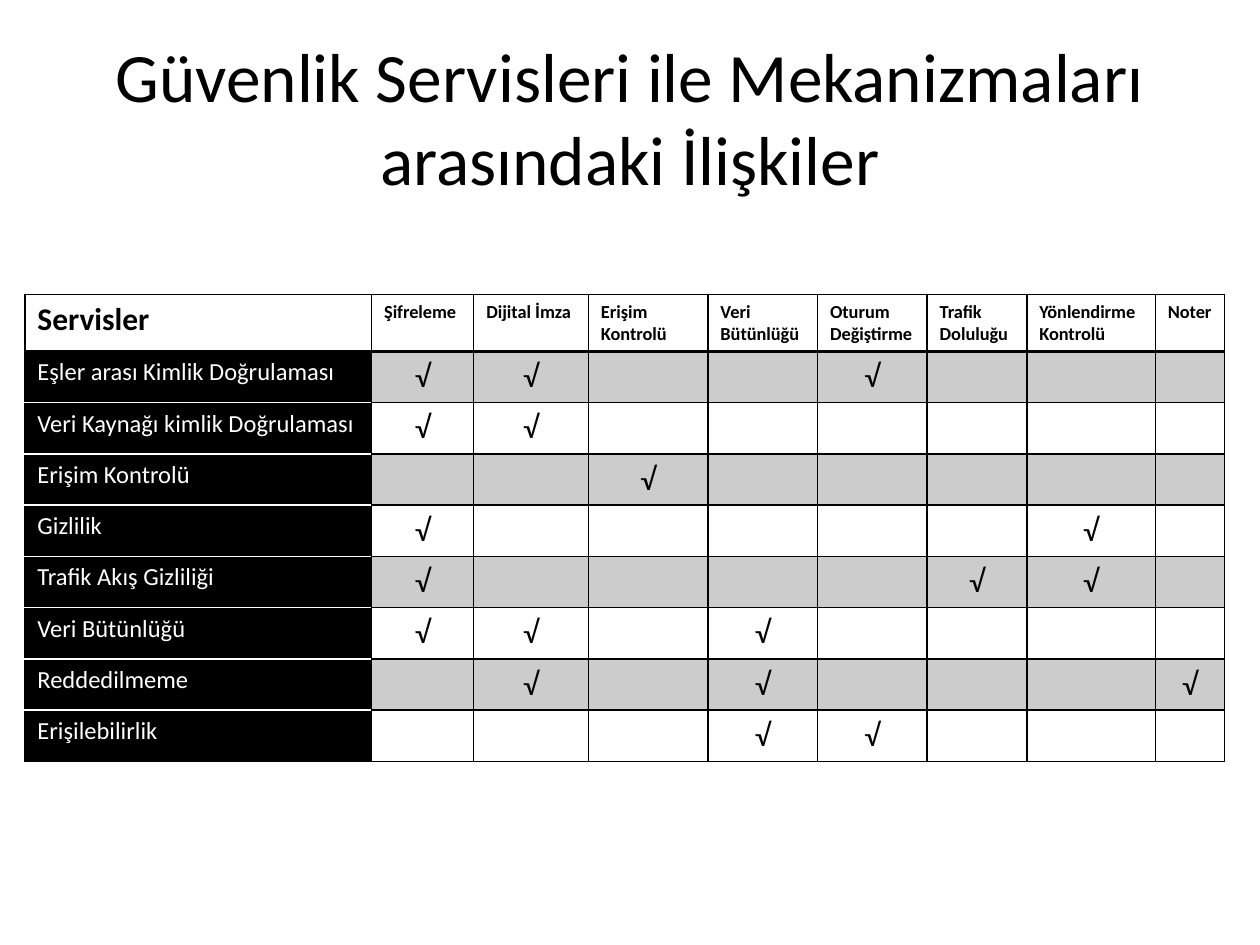
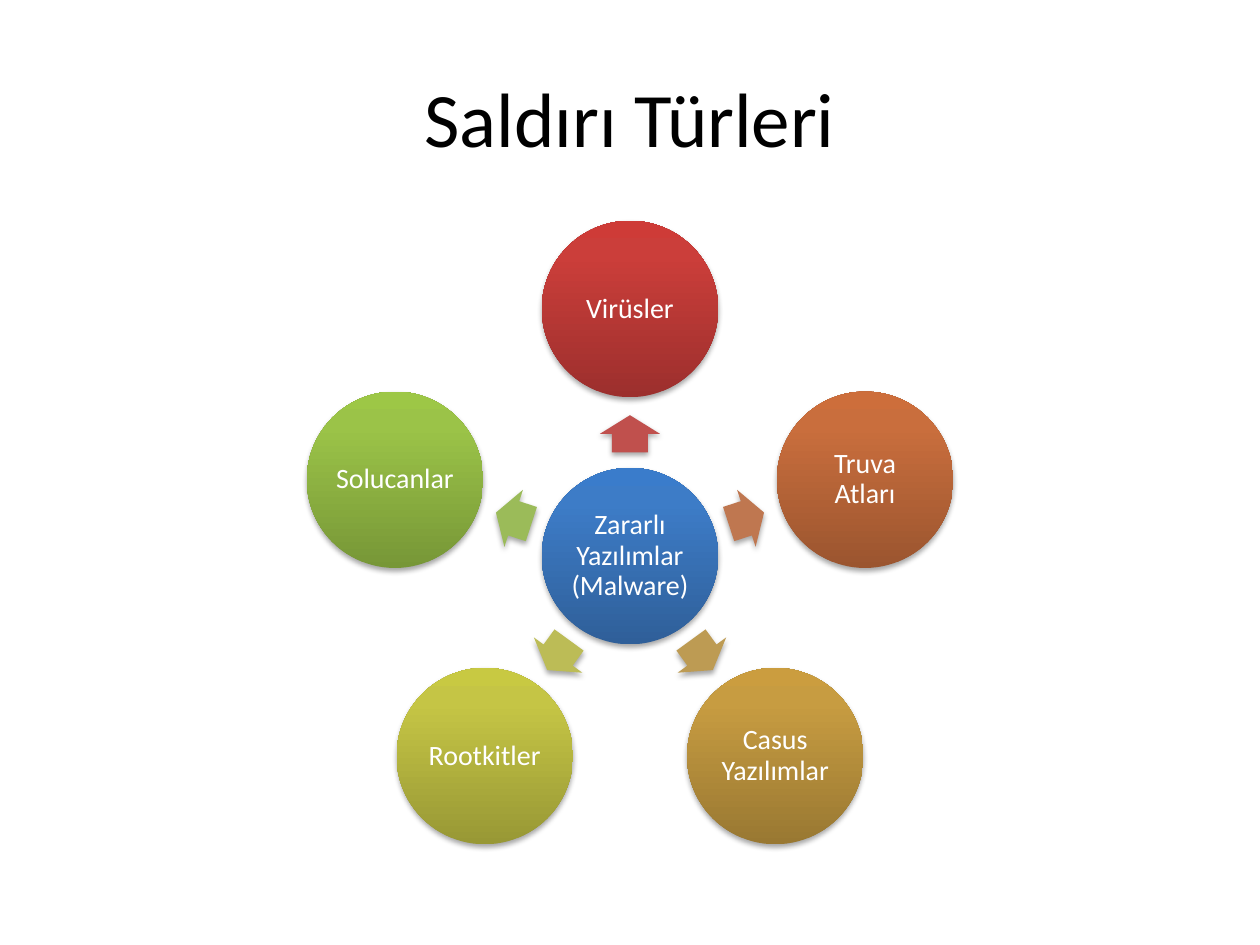
import math

from lxml import etree
from pptx import Presentation
from pptx.dml.color import RGBColor
from pptx.enum.shapes import MSO_SHAPE
from pptx.enum.text import MSO_ANCHOR, PP_ALIGN
from pptx.oxml.ns import qn
from pptx.util import Cm, Pt

OVAL, ARROW = MSO_SHAPE.OVAL, MSO_SHAPE.RIGHT_ARROW
LEFT, CENTER = PP_ALIGN.LEFT, PP_ALIGN.CENTER
TOP, MIDDLE = MSO_ANCHOR.TOP, MSO_ANCHOR.MIDDLE

FONT = "Calibri"
BLACK, WHITE, BAND = "000000", "FFFFFF", "CCCCCC"
TITLE_BOX = (1.27, 0.76, 22.86, 3.18)

MECHANISMS = ["Şifreleme", "Dijital İmza", "Erişim Kontrolü", "Veri Bütünlüğü",
              "Oturum Değiştirme", "Trafik Doluluğu", "Yönlendirme Kontrolü", "Noter"]
COLUMN_WIDTHS = [6.99, 2.06, 2.31, 2.41, 2.21, 2.21, 2.01, 2.59, 1.4]
# Each service with the numbers of the mechanism columns that support it
SERVICES = [
    ("Eşler arası Kimlik Doğrulaması", (1, 2, 5)),
    ("Veri Kaynağı kimlik Doğrulaması", (1, 2)),
    ("Erişim Kontrolü", (3,)),
    ("Gizlilik", (1, 7)),
    ("Trafik Akış Gizliliği", (1, 6, 7)),
    ("Veri Bütünlüğü", (1, 2, 4)),
    ("Reddedilmeme", (2, 4, 8)),
    ("Erişilebilirlik", (4, 5)),
]

MALWARE_SHADES = ("2F5F99", "3D7CC7", "3A7CCB")
# Attack, circle shades from bottom to top, arrow colour; clockwise from the top
ATTACKS = [
    ("Virüsler", ("9C2F2D", "CB3E3A", "CE3B37"), "C0504D"),
    ("Truva Atları", ("9B552F", "C96E3D", "CD6E3B"), "BF7750"),
    ("Casus Yazılımlar", ("997832", "C79C41", "CB9D3F"), "BD9B53"),
    ("Rootkitler", ("989835", "C5C545", "C8C942"), "BCBC56"),
    ("Solucanlar", ("779737", "9BC348", "9DC746"), "9BBB59"),
]


def rgb(color):
    return RGBColor.from_string(color)


def write(tf, text, size, color=BLACK, bold=False, align=LEFT, spacing=None):
    tf.word_wrap = True
    p = tf.paragraphs[0]
    p.alignment = align
    if spacing:
        p.line_spacing = spacing
    r = p.add_run()
    r.text = text
    r.font.name, r.font.size, r.font.bold = FONT, Pt(size), bold
    r.font.color.rgb = rgb(color)


def add_xml(parent, tag, **attrs):
    return etree.SubElement(parent, qn(tag), {k: str(v) for k, v in attrs.items()})


def add_title(s, text, size):
    tf = s.shapes.add_textbox(*map(Cm, TITLE_BOX)).text_frame
    tf.vertical_anchor = MIDDLE
    write(tf, text, size, align=CENTER)


def set_borders(cell, **sides):
    """Draw borders given as L, R, T, B = (colour, points)."""
    tc_pr = cell._tc.get_or_add_tcPr()
    for side, (color, points) in sides.items():
        ln = add_xml(tc_pr, f"a:ln{side}", w=Pt(points))
        add_xml(add_xml(ln, "a:solidFill"), "a:srgbClr", val=color)


def row_rule(row, col):
    """Colour and weight of the rule above a row."""
    if row == 1:
        return BLACK, 2
    return (WHITE if col == 0 and 1 < row <= len(SERVICES) else BLACK), 1


def add_services_table(s, left, top, width, height):
    rows = len(SERVICES) + 1
    table = s.shapes.add_table(rows, len(COLUMN_WIDTHS), Cm(left), Cm(top),
                               Cm(width), Cm(height)).table
    table.first_row = table.horz_banding = False
    for column, share in zip(table.columns, COLUMN_WIDTHS):
        column.width = Cm(width * share / sum(COLUMN_WIDTHS))
    for row in range(rows):
        table.rows[row].height = Cm(height / rows)
        for col in range(len(COLUMN_WIDTHS)):
            cell = table.cell(row, col)
            cell.vertical_anchor = TOP
            side = (BLACK, 1)
            set_borders(cell, L=side, R=side, T=row_rule(row, col), B=row_rule(row + 1, col))
            fill, tf = WHITE, cell.text_frame
            if row == 0:
                text, size = (MECHANISMS[col - 1], 10.5) if col else ("Servisler", 18)
                write(tf, text, size, bold=True)
            elif col == 0:
                fill = BLACK
                write(tf, SERVICES[row - 1][0], 14, WHITE)
            else:
                fill = BAND if row % 2 else WHITE
                if col in SERVICES[row - 1][1]:
                    write(tf, "√", 18, align=CENTER)
            cell.fill.solid()
            cell.fill.fore_color.rgb = rgb(fill)


def add_shadowed(shapes, kind, x, y, width, height):
    """Add a borderless shape centred on x, y with a soft shadow below."""
    sp = shapes.add_shape(kind, Cm(x - width / 2), Cm(y - height / 2), Cm(width), Cm(height))
    sp.line.fill.background()
    sp.shadow.inherit = False
    effects = sp._element.spPr.find(qn("a:effectLst"))
    shadow = add_xml(effects, "a:outerShdw", blurRad=Pt(3.1), dist=Pt(1.8),
                     dir=5400000, rotWithShape=0)
    add_xml(add_xml(shadow, "a:srgbClr", val=BLACK), "a:alpha", val=35000)
    return sp


def add_circle(shapes, x, y, size, text, shades):
    sp = add_shadowed(shapes, OVAL, x, y, size, size)
    sp.fill.gradient()
    sp.fill.gradient_angle = 90
    stops = sp._element.spPr.find(qn("a:gradFill")).find(qn("a:gsLst"))
    stops.clear()
    for position, shade in zip((0, 80000, 100000), shades):
        add_xml(add_xml(stops, "a:gs", pos=position), "a:srgbClr", val=shade)
    tf = sp.text_frame
    tf.margin_left = tf.margin_right = tf.margin_top = tf.margin_bottom = Cm(0.05)
    tf.vertical_anchor = MIDDLE
    write(tf, text, 16, WHITE, align=CENTER, spacing=0.9)


def add_attack_wheel(s, left, top, width, height):
    shapes = s.shapes.add_group_shape().shapes
    size = 0.283 * height
    step = 360 / len(ATTACKS)
    orbit = (height - size) / (1 + math.cos(math.radians(step / 2)))
    arrow_orbit = 0.495 * orbit
    x, y = left + width / 2, top + size / 2 + orbit
    add_circle(shapes, x, y, size, "Zararlı Yazılımlar (Malware)", MALWARE_SHADES)
    for i, (attack, shades, arrow_color) in enumerate(ATTACKS):
        angle = math.radians(i * step)
        dx, dy = math.sin(angle), -math.cos(angle)
        arrow = add_shadowed(shapes, ARROW, x + arrow_orbit * dx, y + arrow_orbit * dy,
                             0.75, 1.21)
        arrow.rotation = (i * step - 90) % 360
        arrow.adjustments[0], arrow.adjustments[1] = 0.6, 0.5
        arrow.fill.solid()
        arrow.fill.fore_color.rgb = rgb(arrow_color)
        add_circle(shapes, x + orbit * dx, y + orbit * dy, size, attack, shades)


def main():
    prs = Presentation()
    prs.slide_width, prs.slide_height = Cm(25.4), Cm(19.05)
    blank = prs.slide_layouts[6]

    s = prs.slides.add_slide(blank)
    add_title(s, "Güvenlik Servisleri ile Mekanizmaları arasındaki İlişkiler", 39.6)
    add_services_table(s, 0.5, 5.94, 24.19, 9.3)

    s = prs.slides.add_slide(blank)
    add_title(s, "Saldırı Türleri", 44)
    add_attack_wheel(s, 1.27, 4.45, 22.86, 12.57)

    prs.save("out.pptx")


if __name__ == "__main__":
    main()
